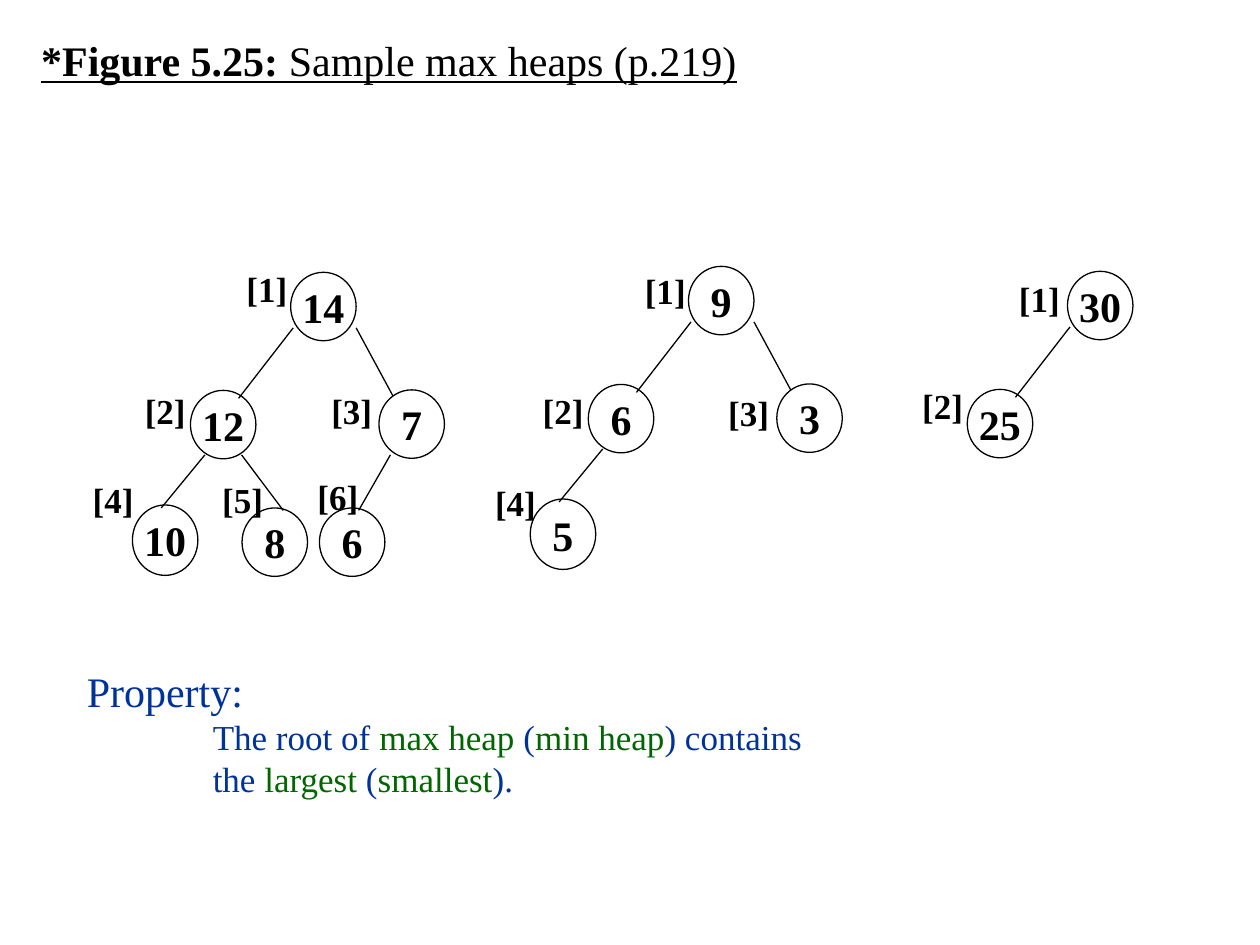
from lxml.etree import SubElement
from pptx import Presentation
from pptx.dml.color import RGBColor
from pptx.enum.shapes import MSO_CONNECTOR, MSO_SHAPE
from pptx.enum.text import MSO_ANCHOR, MSO_AUTO_SIZE, PP_ALIGN
from pptx.oxml.ns import qn
from pptx.util import Cm, Pt

BLACK, BLUE, GREEN = "000000", "003399", "006600"
HEADING = {"name": "Times New Roman", "size": Pt(24)}
BODY = {**HEADING, "size": Pt(20)}
NODE = {**HEADING, "bold": True}
INDEX = {**BODY, "bold": True}

# Content: each paragraph is an indent and its (text, colour, format) runs
TITLE = [(0, [("*Figure 5.25:", BLACK, {**NODE, "underline": True}),
              (" Sample max heaps (p.219)", BLACK, {**HEADING, "underline": True})])]
PROPERTY = [
    (0, [("Property:", BLUE, HEADING)]),
    (2.54, [("The root of ", BLUE, BODY), ("max heap", GREEN, BODY), (" (", BLUE, BODY),
            ("min heap", GREEN, BODY), (") contains", BLUE, BODY)]),
    (2.54, [("the ", BLUE, BODY), ("largest", GREEN, BODY), (" (", BLUE, BODY),
            ("smallest", GREEN, BODY), (").", BLUE, BODY)]),
]

# Heaps in array order: root corner, values and corners of the index labels (cm)
HEAPS = [
    {"root": (5.86, 5.49), "values": [14, 12, 7, 10, 8, 6],
     "labels": [(4.72, 5.26), (2.67, 7.72), (6.43, 7.72),
                (1.62, 9.53), (4.23, 9.53), (6.15, 9.47)]},
    {"root": (13.88, 5.37), "values": [9, 6, 3, 5],
     "labels": [(12.75, 5.31), (10.69, 7.72), (14.43, 7.77), (9.73, 9.58)]},
    {"root": (21.52, 5.47), "values": [30, 25],
     "labels": [(20.29, 5.46), (18.34, 7.62)]},
]

# Layout shared by all heaps, measured from the root corner (cm)
NODE_OFFSETS = [(0, 0), (-2.02, 2.38), (1.78, 2.37), (-3.19, 4.69), (-0.98, 4.75), (0.58, 4.75)]
NODE_HEIGHTS = [1.38, 1.38, 1.38, 1.42, 1.38, 1.38]
NODE_WIDTH = 1.32
LABEL_WIDTH, LABEL_HEIGHT = 1.36, 1.11
EDGES = [  # edge to each node after the root
    (0.05, 1.12, -1.05, 2.54), (1.32, 1.12, 2.06, 2.49), (-1.73, 3.68, -2.61, 4.75),
    (-0.99, 3.68, -0.15, 4.8), (2.01, 3.68, 1.37, 4.8),
]


def color(value):
    return RGBColor.from_string(value)


def add_run(paragraph, text, text_color, style):
    run = paragraph.add_run()
    run.text = text
    for name, value in style.items():
        setattr(run.font, name, value)
    run.font.color.rgb = color(text_color)


def add_text(slide, left, top, width, height, paragraphs):
    box = slide.shapes.add_textbox(Cm(left), Cm(top), Cm(width), Cm(height))
    frame = box.text_frame
    frame.word_wrap = False
    frame.auto_size = MSO_AUTO_SIZE.SHAPE_TO_FIT_TEXT
    for number, (indent, runs) in enumerate(paragraphs):
        paragraph = frame.add_paragraph() if number else frame.paragraphs[0]
        if indent:
            paragraph._p.get_or_add_pPr().set("marL", str(Cm(indent)))
        for run in runs:
            add_run(paragraph, *run)


def add_node(slide, left, top, height, value):
    shape = slide.shapes.add_shape(
        MSO_SHAPE.OVAL, Cm(left), Cm(top), Cm(NODE_WIDTH), Cm(height))
    shape.shadow.inherit = False
    shape.fill.background()
    shape.line.color.rgb = color(BLACK)
    shape.line.width = Pt(0.75)
    frame = shape.text_frame
    frame.word_wrap = False
    frame.vertical_anchor = MSO_ANCHOR.MIDDLE
    paragraph = frame.paragraphs[0]
    paragraph.alignment = PP_ALIGN.CENTER
    add_run(paragraph, str(value), BLACK, NODE)


def add_edge(slide, *ends):
    line = slide.shapes.add_connector(MSO_CONNECTOR.STRAIGHT, *map(Cm, ends))
    line.line.color.rgb = color(BLACK)
    line.line.width = Pt(0.75)
    SubElement(line._element.spPr, qn("a:effectLst"))


def add_heap(slide, heap):
    x, y = heap["root"]
    values = heap["values"]
    for value, (dx, dy), height in zip(values, NODE_OFFSETS, NODE_HEIGHTS):
        add_node(slide, x + dx, y + dy, height, value)
    for x1, y1, x2, y2 in EDGES[:len(values) - 1]:
        add_edge(slide, x + x1, y + y1, x + x2, y + y2)
    for index, (left, top) in enumerate(heap["labels"], 1):
        add_text(slide, left, top, LABEL_WIDTH, LABEL_HEIGHT,
                 [(0, [(f"[{index}]", BLACK, INDEX)])])


def main():
    presentation = Presentation()
    presentation.slide_width, presentation.slide_height = Cm(25.4), Cm(19.05)
    slide = presentation.slides.add_slide(presentation.slide_layouts[6])
    add_text(slide, 0.58, 0.58, 14.53, 1.27, TITLE)
    for heap in HEAPS:
        add_heap(slide, heap)
    add_text(slide, 1.5, 13.29, 15.09, 2.97, PROPERTY)
    presentation.save("out.pptx")


if __name__ == "__main__":
    main()
